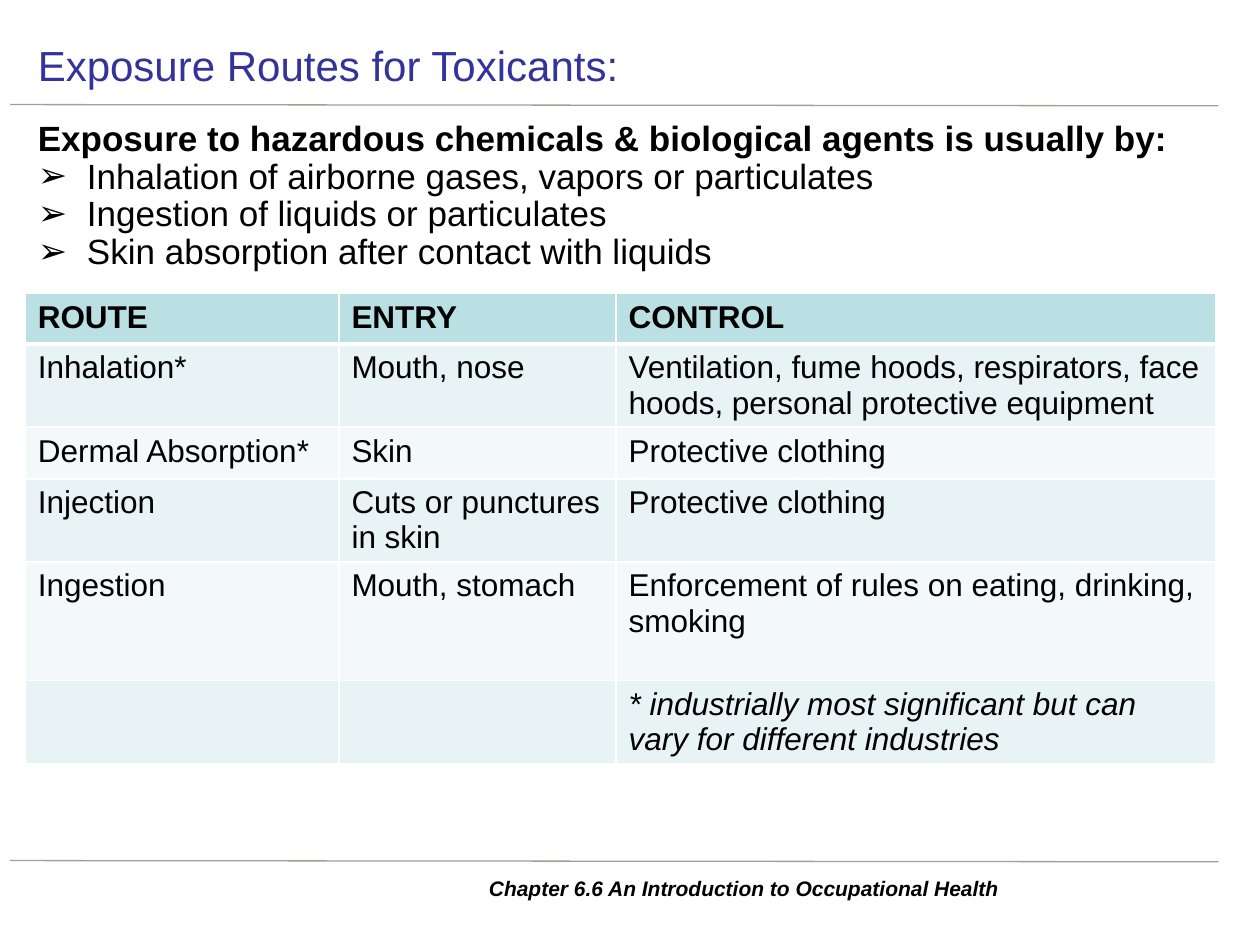
from lxml.etree import SubElement
from pptx import Presentation
from pptx.dml.color import RGBColor
from pptx.enum.shapes import MSO_CONNECTOR
from pptx.enum.text import MSO_ANCHOR, MSO_AUTO_SIZE, PP_ALIGN
from pptx.oxml.ns import qn
from pptx.util import Inches, Pt

BLACK = RGBColor(0x00, 0x00, 0x00)
WHITE = RGBColor(0xFF, 0xFF, 0xFF)
NAVY = RGBColor(0x33, 0x33, 0x99)
TAUPE = RGBColor(0xAA, 0x9C, 0x8F)
TEAL = RGBColor(0xBB, 0xE0, 0xE3)
PALE = RGBColor(0xE7, 0xF3, 0xF4)
MIST = RGBColor(0xF3, 0xF9, 0xFA)

LEAD = "Exposure to hazardous chemicals & biological agents is usually by:"
POINTS = [
    "Inhalation of airborne gases, vapors or particulates",
    "Ingestion of liquids or particulates",
    "Skin absorption after contact with liquids",
]
ROWS = [
    ("ROUTE", "ENTRY", "CONTROL"),
    ("Inhalation*", "Mouth, nose",
     "Ventilation, fume hoods, respirators, face hoods, personal protective equipment"),
    ("Dermal Absorption*", "Skin", "Protective clothing"),
    ("Injection", "Cuts or punctures in skin", "Protective clothing"),
    ("Ingestion", "Mouth, stomach", "Enforcement of rules on eating, drinking, smoking"),
    ("", "", "* industrially most significant but can vary for different industries"),
]
WIDTHS = [2.49, 2.2, 4.76]
HEIGHTS = [0.4, 0.66, 0.41, 0.66, 0.94, 0.66]


def add_run(para, text, size, color=BLACK, bold=False, italic=False):
    """Add one styled run to a paragraph."""
    run = para.add_run()
    run.text = text
    font = run.font
    font.name, font.size = "Arial", Pt(size)
    font.bold, font.italic = bold, italic
    font.color.rgb = color


def place(shape, left, top, width, height, anchor):
    """Move a text shape and set up its frame."""
    shape.left, shape.top = Inches(left), Inches(top)
    shape.width, shape.height = Inches(width), Inches(height)
    frame = shape.text_frame
    frame.word_wrap = True
    frame.auto_size = MSO_AUTO_SIZE.NONE
    frame.vertical_anchor = anchor
    return frame


def set_mark(para, mark=None):
    """Give a paragraph a hanging bullet, or none at all."""
    props = para._p.get_or_add_pPr()
    dent = Inches(0.39) if mark else 0
    props.set("marL", str(dent))
    props.set("indent", str(-dent))
    if mark:
        SubElement(props, qn("a:buFont"), typeface="Arial")
        SubElement(props, qn("a:buChar"), char=mark)
    else:
        SubElement(props, qn("a:buNone"))


def fill_title(shape):
    """Write the slide title."""
    para = place(shape, 0.2, 0.24, 9.45, 0.55, MSO_ANCHOR.MIDDLE).paragraphs[0]
    para.alignment = PP_ALIGN.LEFT
    add_run(para, "Exposure Routes for Toxicants:", 24, NAVY)


def fill_body(shape):
    """Write the lead sentence and its bullet list."""
    frame = place(shape, 0.2, 0.91, 9.45, 5.83, MSO_ANCHOR.TOP)
    for i, text in enumerate([LEAD, *POINTS]):
        para = frame.add_paragraph() if i else frame.paragraphs[0]
        para.line_spacing = 0.9
        para.space_before = Pt(0)
        set_mark(para, "➢" if i else None)
        add_run(para, text, 20, bold=i == 0)


def add_rule(slide, top):
    """Draw a thin rule across the slide."""
    rule = slide.shapes.add_connector(
        MSO_CONNECTOR.STRAIGHT, Inches(0.08), Inches(top), Inches(9.67), Inches(top + 0.01))
    rule.line.color.rgb = TAUPE
    rule.line.width = Pt(0.75)
    SubElement(rule._element.spPr, qn("a:effectLst"))


def add_edge(cell, side, width):
    """Draw one white border of a cell."""
    edge = SubElement(cell._tc.get_or_add_tcPr(), qn(f"a:ln{side}"), w=str(Pt(width)))
    paint = SubElement(edge, qn("a:solidFill"))
    SubElement(paint, qn("a:srgbClr"), val=str(WHITE))


def fill_cell(cell, text, row):
    """Write and style one table cell by its row."""
    for side in "LRTB":
        thick = (row, side) in ((0, "B"), (1, "T"))
        add_edge(cell, side, 3 if thick else 1)
    cell.fill.solid()
    cell.fill.fore_color.rgb = TEAL if row == 0 else PALE if row % 2 else MIST
    if text:
        add_run(cell.text_frame.paragraphs[0], text, 18,
                bold=row == 0, italic=row == len(ROWS) - 1)


def add_grid(slide):
    """Add the table of routes, entries and controls."""
    table = slide.shapes.add_table(
        len(ROWS), len(WIDTHS), Inches(0.2), Inches(2.33),
        Inches(sum(WIDTHS)), Inches(sum(HEIGHTS))).table
    for col, width in zip(table.columns, WIDTHS):
        col.width = Inches(width)
    for r, (texts, height) in enumerate(zip(ROWS, HEIGHTS)):
        table.rows[r].height = Inches(height)
        for c, text in enumerate(texts):
            fill_cell(table.cell(r, c), text, r)


def add_foot(slide):
    """Add the chapter line at the bottom."""
    box = slide.shapes.add_textbox(0, 0, 0, 0)
    para = place(box, 2.95, 6.89, 5.91, 0.31, MSO_ANCHOR.MIDDLE).paragraphs[0]
    para.alignment = PP_ALIGN.CENTER
    add_run(para, "Chapter 6.6 An Introduction to Occupational Health", 12,
            bold=True, italic=True)


def main():
    """Build and save the slide."""
    deck = Presentation()
    deck.slide_width, deck.slide_height = Inches(10), Inches(7.5)
    slide = deck.slides.add_slide(deck.slide_layouts[1])
    for top in (0.83, 6.83):
        add_rule(slide, top)
    fill_body(slide.placeholders[1])
    fill_title(slide.shapes.title)
    add_grid(slide)
    add_foot(slide)
    deck.save("out.pptx")


if __name__ == "__main__":
    main()
